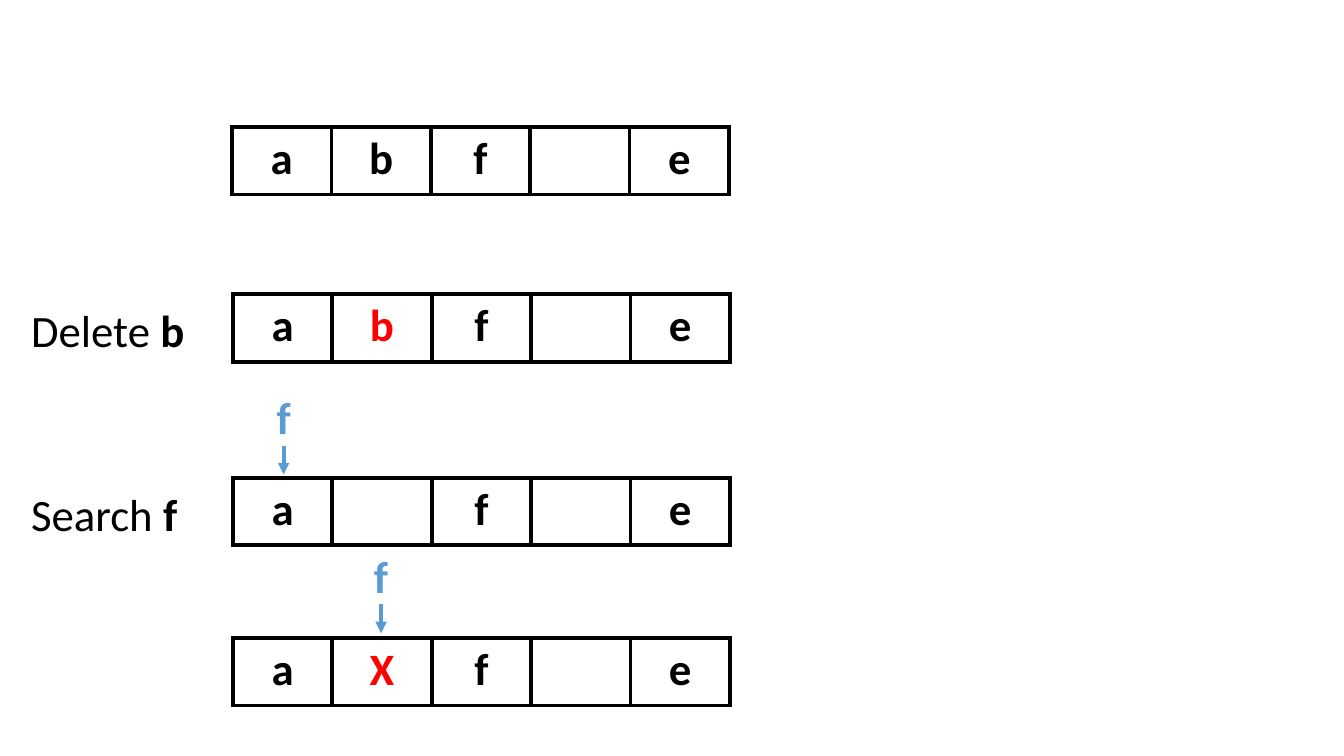
from pptx import Presentation
from pptx.dml.color import RGBColor
from pptx.enum import shapes, text
from pptx.oxml import parse_xml
from pptx.oxml.ns import nsdecls
from pptx.util import Pt

HUES = {"ink": "000000", "paper": "FFFFFF", "mark": "FF0000", "probe": "5B9BD5"}
FONT, SIZE = "Calibri", 32
CELL_W, CELL_H = 71, 48.2
BOX_H = 46

ROWS = [
    (165.8, 90.7, ["a", "b", "f", "", "e"], None),
    (166.4, 210.2, ["a", "b", "f", "", "e"], 1),
    (166.4, 341.3, ["a", "", "f", "", "e"], None),
    (166.4, 455.8, ["a", "X", "f", "", "e"], 1),
]
LABELS = [("Delete", " b", 212.4), ("Search", " f", 344.4)]
PROBES = [("f", 202.6, 274.8), ("f", 272.2, 388.2)]


def color(name):
    return RGBColor.from_string(HUES[name])


def style(para, hue="ink", bold=None, align=None):
    para.alignment = align
    font = para.font
    font.name, font.size, font.bold = FONT, Pt(SIZE), bold
    font.color.rgb = color(hue)


def border(cell):
    props = cell._tc.get_or_add_tcPr()
    for i, side in enumerate(("lnL", "lnR", "lnT", "lnB")):
        props.insert(i, parse_xml(
            f'<a:{side} {nsdecls("a")} w="{Pt(3)}"><a:solidFill>'
            f'<a:srgbClr val="{HUES["ink"]}"/></a:solidFill></a:{side}>'))


def add_row(slide, left, top, keys, marked):
    frame = slide.shapes.add_table(
        1, len(keys), Pt(left), Pt(top), Pt(CELL_W * len(keys)), Pt(CELL_H))
    table = frame.table
    table.first_row = table.horz_banding = False
    for i, key in enumerate(keys):
        table.columns[i].width = Pt(CELL_W)
        cell = table.cell(0, i)
        cell.text = key
        cell.fill.solid()
        cell.fill.fore_color.rgb = color("paper")
        border(cell)
        style(cell.text_frame.paragraphs[0], "mark" if i == marked else "ink",
              True, text.PP_ALIGN.CENTER)


def add_box(slide, left, top, width):
    box = slide.shapes.add_textbox(Pt(left), Pt(top), Pt(width), Pt(BOX_H))
    box.text_frame.word_wrap = True
    return box.text_frame.paragraphs[0]


def add_label(slide, verb, key, top):
    para = add_box(slide, 15.1, top, 187.5)
    para.add_run().text = verb
    run = para.add_run()
    run.text = key
    run.font.bold = True
    style(para)


def add_probe(slide, key, mid, top):
    para = add_box(slide, mid - CELL_W / 2, top, CELL_W)
    para.text = key
    style(para, "probe", True, text.PP_ALIGN.CENTER)
    start = top + 43.5
    arrow = slide.shapes.add_connector(
        shapes.MSO_CONNECTOR.STRAIGHT, Pt(mid), Pt(start), Pt(mid), Pt(start + 20.6))
    arrow.line.color.rgb = color("probe")
    arrow.line.width = Pt(2.75)
    arrow.line._get_or_add_ln().append(
        parse_xml(f'<a:tailEnd {nsdecls("a")} type="triangle"/>'))
    arrow._element.spPr.append(parse_xml(f'<a:effectLst {nsdecls("a")}/>'))


def main():
    deck = Presentation()
    deck.slide_width, deck.slide_height = Pt(960), Pt(540)
    slide = deck.slides.add_slide(deck.slide_layouts[6])
    for row in ROWS:
        add_row(slide, *row)
    for label in LABELS:
        add_label(slide, *label)
    for probe in PROBES:
        add_probe(slide, *probe)
    deck.save("out.pptx")


if __name__ == "__main__":
    main()
